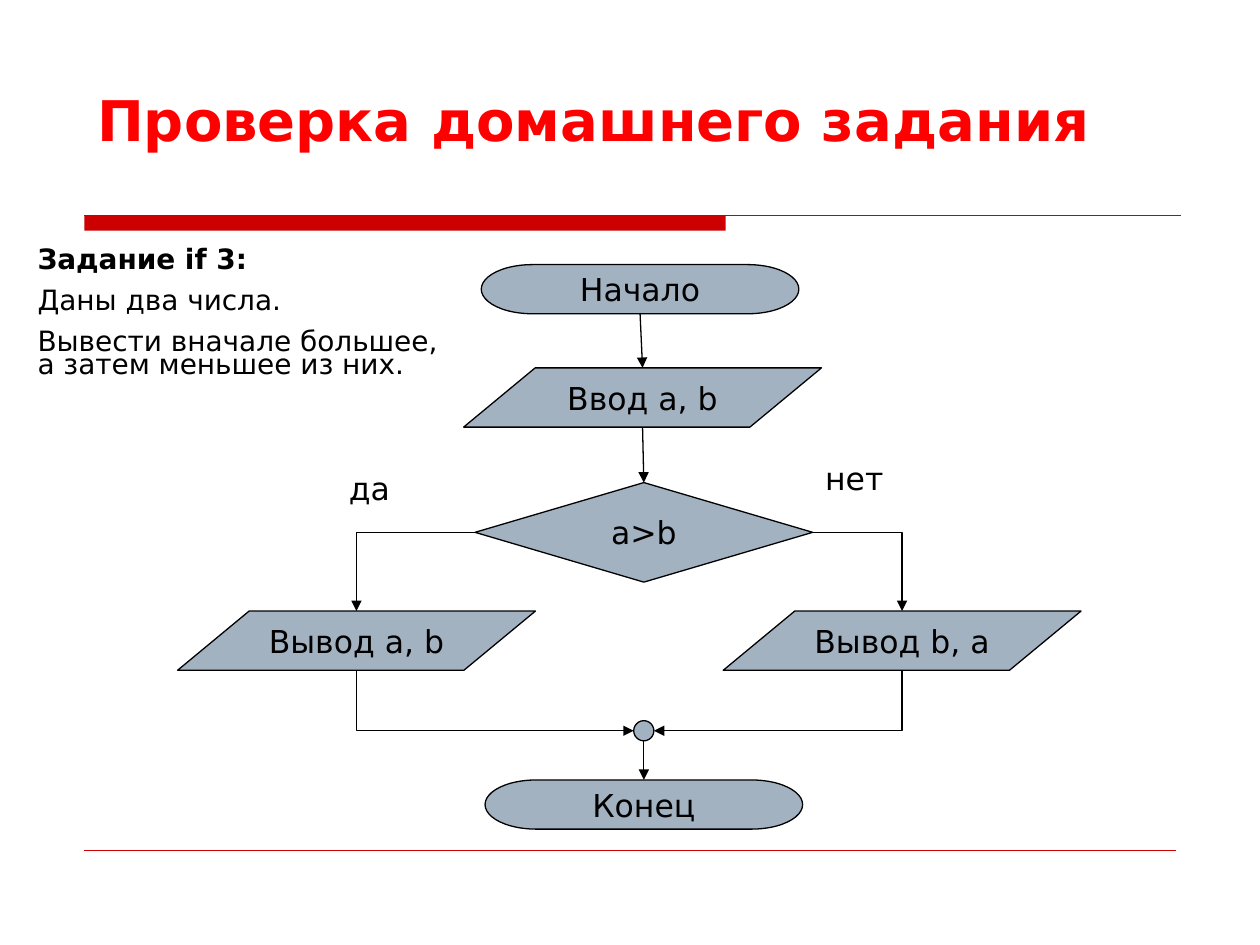
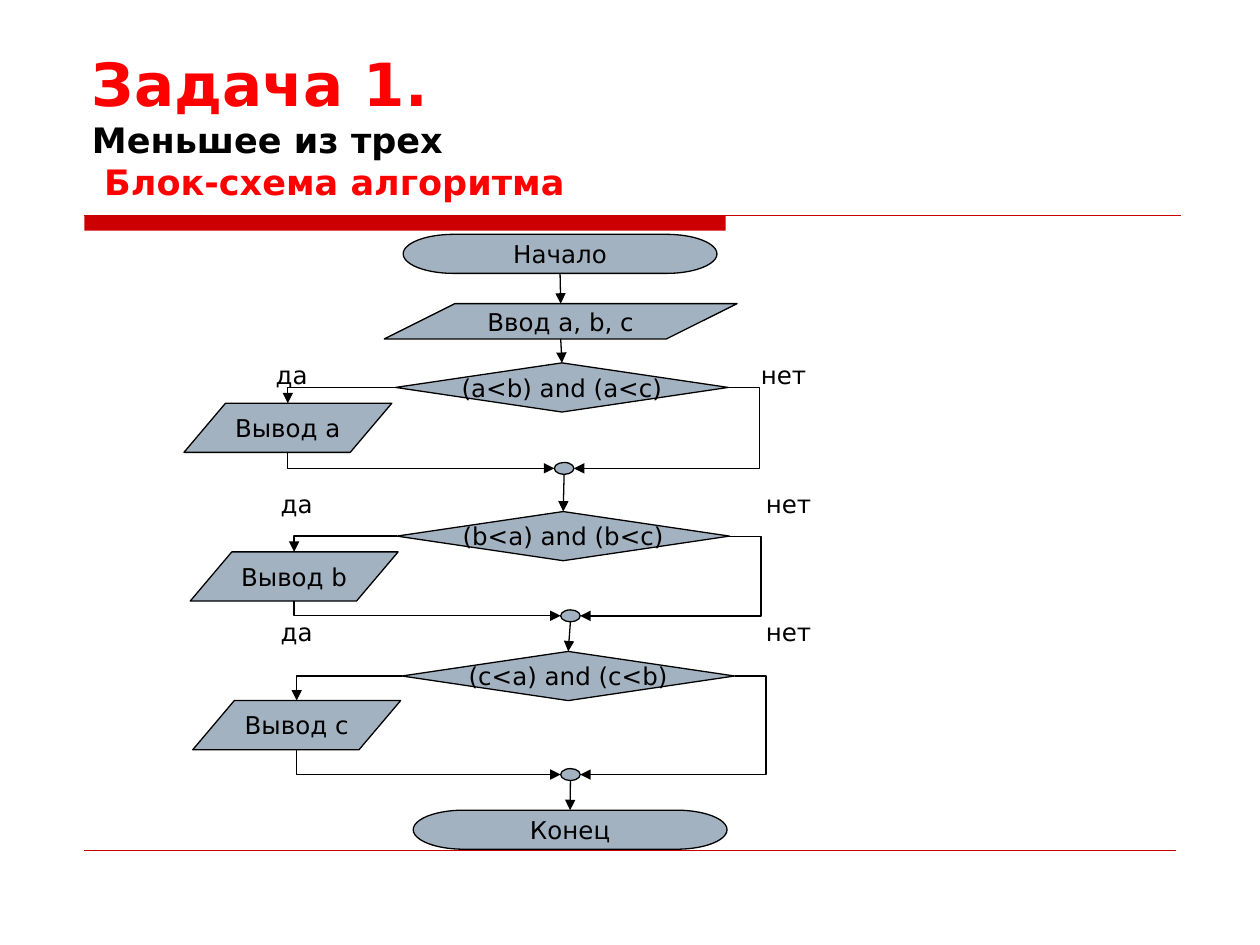
import copy
from lxml import etree
from pptx import Presentation
from pptx import util as u
from pptx.dml.color import RGBColor
from pptx.enum import shapes, text
from pptx.oxml.ns import qn

COLORS = {"band": "CC0000", "title": "FF0000", "ink": "000000", "node": "A3B2C1"}
FONT = "DejaVu Sans"
TITLE_ONLY = 5
KINDS = {
    "terminal": shapes.MSO_SHAPE.FLOWCHART_TERMINATOR,
    "data": shapes.MSO_SHAPE.FLOWCHART_DATA,
    "decision": shapes.MSO_SHAPE.FLOWCHART_DECISION,
    "joint": shapes.MSO_SHAPE.FLOWCHART_CONNECTOR,
}
SIDES = {"top": (0.5, 0), "left": (0, 0.5), "bottom": (0.5, 1), "right": (1, 0.5)}
SITES = {
    "terminal": {"top": 0, "left": 1, "bottom": 2, "right": 3},
    "decision": {"top": 0, "left": 1, "bottom": 2, "right": 3},
    "data": {"top": 1, "bottom": 4},
    "joint": {"top": 0, "left": 2, "bottom": 4, "right": 6},
}


def grid(*cells):
    return [u.Inches(cell / 10) for cell in cells]


def color(name):
    return RGBColor.from_string(COLORS[name])


def write(para, words, size, ink="ink", bold=False):
    span = para.add_run()
    span.text = words.rstrip("\n")
    span.font.name = FONT
    span.font.size = u.Pt(size)
    span.font.bold = bold
    span.font.color.rgb = color(ink)
    if words.endswith("\n"):
        para.add_line_break()
        para._p[-1].append(copy.deepcopy(span._r.rPr))


def rule(page, start, end, ink, width, elbow=False):
    kind = shapes.MSO_CONNECTOR.ELBOW if elbow else shapes.MSO_CONNECTOR.STRAIGHT
    line = page.shapes.add_connector(kind, *start, *end)
    line.line.color.rgb = color(ink)
    line.line.width = u.Pt(width)
    etree.SubElement(line._element.spPr, qn("a:effectLst"))
    return line


def add_frame(page):
    band = page.shapes.add_shape(shapes.MSO_SHAPE.RECTANGLE, *grid(6.7, 17.1, 50.9, 1.2))
    band.shadow.inherit = False
    band.fill.solid()
    band.fill.fore_color.rgb = color("band")
    band.line.fill.background()
    header = rule(page, grid(6.7, 17.1), grid(93.7, 17.1), "band", 0.75)
    footer = rule(page, grid(6.7, 67.5), grid(93.3, 67.5), "band", 0.25)
    for part in (band, header, footer):
        page.slide_layout.shapes._spTree.append(part._element)


def add_title(page, place, spans):
    title = page.shapes.title
    title.left, title.top, title.width, title.height = grid(*place)
    frame = title.text_frame
    frame.word_wrap = True
    frame.auto_size = text.MSO_AUTO_SIZE.NONE
    frame.vertical_anchor = text.MSO_ANCHOR.BOTTOM
    para = frame.paragraphs[0]
    para.alignment = text.PP_ALIGN.LEFT
    for words, size, ink in spans:
        write(para, words, size, ink=ink, bold=True)


def add_text(page, place, lines, size, spacing=1.0, before=0, bold_first=False):
    frame = page.shapes.add_textbox(*grid(*place)).text_frame
    frame.word_wrap = True
    for index, words in enumerate(lines):
        para = frame.add_paragraph() if index else frame.paragraphs[0]
        para.line_spacing = spacing
        para.space_before = u.Pt(before if index else 0)
        write(para, words, size, bold=bold_first and index == 0)


def add_node(page, kind, place, words="", size=18):
    box = page.shapes.add_shape(KINDS[kind], *grid(*place))
    box.shadow.inherit = False
    box.fill.solid()
    box.fill.fore_color.rgb = color("node")
    box.line.color.rgb = color("ink")
    box.line.width = u.Pt(0.75)
    if words:
        frame = box.text_frame
        frame.word_wrap = False
        frame.vertical_anchor = text.MSO_ANCHOR.MIDDLE
        para = frame.paragraphs[0]
        para.alignment = text.PP_ALIGN.CENTER
        write(para, words, size)
    return kind, box


def side_point(node, side):
    box = node[1]
    across, down = SIDES[side]
    return int(box.left + box.width * across), int(box.top + box.height * down)


def link(page, first, first_side, last, last_side, bend=None, arrow="tailEnd", turn=None):
    start, end = side_point(first, first_side), side_point(last, last_side)
    line = rule(page, start, end, "ink", 0.75, elbow=bool(bend))
    joins = line._element.nvCxnSpPr.cNvCxnSpPr
    for tag, (kind, box), side in (("stCxn", first, first_side), ("endCxn", last, last_side)):
        etree.SubElement(joins, qn("a:" + tag), id=str(box.shape_id), idx=str(SITES[kind][side]))
    etree.SubElement(line.line._get_or_add_ln(), qn("a:" + arrow), type="triangle")
    if bend:
        shape = line._element.spPr.find(qn("a:prstGeom"))
        shape.set("prst", bend)
        if turn:
            share = turn / (end[0] - start[0])
            guides = shape.find(qn("a:avLst"))
            etree.SubElement(guides, qn("a:gd"), name="adj1", fmla=f"val {round(share * 100000)}")


def corner(page, first, first_side, last, last_side, arrow="tailEnd"):
    link(page, first, first_side, last, last_side, bend="bentConnector2", arrow=arrow)


def homework_page(page):
    add_title(page, (6.7, 5.2, 87.5, 7.4), [("Проверка домашнего задания", 32, "title")])
    begin = add_node(page, "terminal", (38.2, 21, 25.2, 3.9), "Начало")
    entry = add_node(page, "data", (36.8, 29.2, 28.4, 4.7), "Ввод a, b")
    check = add_node(page, "decision", (37.7, 38.3, 26.8, 7.9), "a>b")
    joint = add_node(page, "joint", (50.3, 57.2, 1.6, 1.6))
    finish = add_node(page, "terminal", (38.5, 61.9, 25.2, 3.9), "Конец")
    for side, left, words in (("left", 14.1, "Вывод a, b"), ("right", 57.4, "Вывод b, a")):
        output = add_node(page, "data", (left, 48.5, 28.4, 4.7), words)
        corner(page, check, side, output, "top")
        corner(page, joint, side, output, "bottom", arrow="headEnd")
    for upper, lower in ((begin, entry), (entry, check), (joint, finish)):
        link(page, upper, "bottom", lower, "top")
    add_text(page, (26.7, 36.7, 9.5, 4), ["да"], 18)
    add_text(page, (64.5, 35.9, 9.5, 4), ["нет"], 18)
    task = ["Задание if 3:", "Даны два числа.",
            "Вывести вначале большее, а затем меньшее из них."]
    add_text(page, (2, 19.4, 35, 11.3), task, 16, spacing=0.7, before=10, bold_first=True)


def smallest_page(page):
    add_title(page, (6.3, 3.3, 89.4, 13.3), [
        ("Задача 1.\n", 34, "title"),
        ("Меньшее из трех\n", 20, "ink"),
        (" Блок-схема алгоритма", 20, "title"),
    ])
    begin = add_node(page, "terminal", (32, 18.6, 24.9, 3.1), "Начало", size=14)
    previous = add_node(page, "data", (30.5, 24.1, 28, 2.8), "Ввод a, b, c", size=14)
    link(page, begin, "bottom", previous, "top")
    branches = [
        ("a", "(a<b) and (a<c)", (31.4, 28.8), (14.6, 32), (44, 36.7), 20.9),
        ("b", "(b<a) and (b<c)", (31.5, 40.6), (15.1, 43.8), (44.5, 48.4), 21.3),
        ("c", "(c<a) and (c<b)", (31.9, 51.7), (15.3, 55.6), (44.5, 61), 21.3),
    ]
    for index, (name, condition, check_at, output_at, joint_at, label_left) in enumerate(branches):
        check = add_node(page, "decision", (*check_at, 26.4, 3.9), condition, size=14)
        output = add_node(page, "data", (*output_at, 16.5, 3.9), "Вывод " + name, size=14)
        joint = add_node(page, "joint", (*joint_at, 1.55, 0.95))
        link(page, previous, "bottom", check, "top")
        corner(page, check, "left", output, "top")
        corner(page, joint, "left", output, "bottom", arrow="headEnd")
        link(page, check, "right", joint, "right", bend="bentConnector3", turn=u.Inches(0.25))
        for words, left in (("да", label_left), ("нет", label_left + 38.5)):
            add_text(page, (left, 28.1 + 10.2 * index, 9.3, 3.4), [words], 14)
        previous = joint
    finish = add_node(page, "terminal", (32.8, 64.3, 24.9, 3.1), "Конец", size=14)
    link(page, previous, "bottom", finish, "top")


def main():
    deck = Presentation()
    deck.slide_width, deck.slide_height = grid(100, 75)
    layout = deck.slide_layouts[TITLE_ONLY]
    pages = [deck.slides.add_slide(layout) for _ in range(2)]
    add_frame(pages[0])
    homework_page(pages[0])
    smallest_page(pages[1])
    deck.save("out.pptx")


if __name__ == "__main__":
    main()
